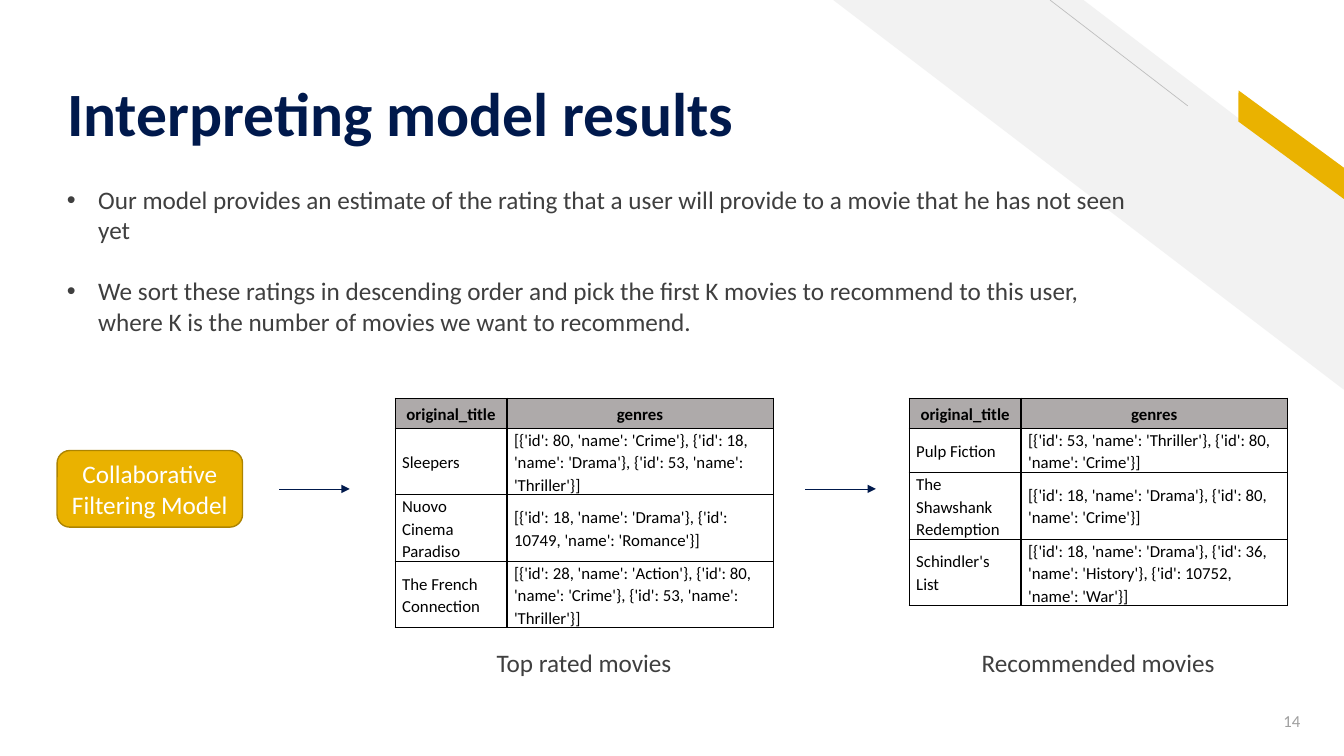
"""Build the slide that explains how the movie recommendations are read."""
import dataclasses

import lxml.etree
import pptx
import pptx.dml.color
import pptx.enum.dml
import pptx.enum.shapes
import pptx.enum.text
import pptx.oxml.ns
import pptx.shapes.autoshape
import pptx.shapes.connector
import pptx.slide
import pptx.table
import pptx.text.text
import pptx.util

SHAPE = pptx.enum.shapes.MSO_SHAPE
ALIGN = pptx.enum.text.PP_ALIGN
ANCHOR = pptx.enum.text.MSO_ANCHOR
FIT = pptx.enum.text.MSO_AUTO_SIZE
qn = pptx.oxml.ns.qn

COLUMNS, ROWS = 80, 45
CELL = pptx.util.Inches(7.5) / ROWS


@dataclasses.dataclass(frozen=True)
class Theme:
    font: str = "Calibri"
    navy: str = "00194C"
    gold: str = "EAB200"
    gold_edge: str = "AD8400"
    body: str = "3F3F3F"
    band: str = "F2F2F2"
    hairline: str = "BFBFBF"
    muted: str = "9F9F9F"
    header: str = "AEAAAA"
    black: str = "000000"
    white: str = "FFFFFF"
    title_size: int = 44
    body_size: int = 18
    small_size: int = 12


THEME = Theme()


@dataclasses.dataclass(frozen=True)
class Area:
    left: float
    top: float
    width: float
    height: float

    def emu(self) -> tuple[int, ...]:
        return tuple(cells(v) for v in dataclasses.astuple(self))


@dataclasses.dataclass(frozen=True)
class Label:
    area: Area
    lines: tuple[str, ...]
    color: str = THEME.body
    size: int = THEME.body_size
    bold: bool = False
    align: ALIGN = ALIGN.LEFT
    anchor: ANCHOR = ANCHOR.TOP
    fit: FIT = FIT.NONE
    bulleted: bool = False
    spacing: float = 1.0
    bottom_inset: float = 0.05


@dataclasses.dataclass(frozen=True)
class Stripe:
    area: Area
    kind: SHAPE
    adjustment: float
    color: str
    rotation: float = 0


@dataclasses.dataclass(frozen=True)
class Stroke:
    start: tuple[float, float]
    end: tuple[float, float]
    color: str
    arrow: bool = False


@dataclasses.dataclass(frozen=True)
class MovieList:
    caption: str
    movies: tuple[tuple[str, str], ...]


STRIPES = (
    Stripe(Area(49.6, 0, 30.4, 23.2), SHAPE.DIAGONAL_STRIPE, 0.51, THEME.band),
    Stripe(Area(72.42, 7.86, 8.88, 1.5), SHAPE.PARALLELOGRAM, 0.72, THEME.gold, 36.3),
)
MODEL_AREA = Area(3.4, 26.82, 11.04, 4.56)
FLOW_ROW = MODEL_AREA.top + MODEL_AREA.height / 2
ARROW_LEFT, ARROW_LENGTH, ARROW_STEP = 16.62, 4.2, 31.32
LIST_LEFT, LIST_TOP, LIST_STEP = 23.52, 23.7, 30.6
LIST_COLUMNS = (6.66, 15.84)
LIST_ROWS = (1.8, 2.46, 2.58, 3.36)
HEADINGS = ("original_title", "genres")
STROKES = (Stroke((70.7, 6.3), (62.5, 0), THEME.hairline),) + tuple(
    Stroke((left, FLOW_ROW), (left + ARROW_LENGTH, FLOW_ROW), THEME.navy, True)
    for left in (ARROW_LEFT, ARROW_LEFT + ARROW_STEP)
)
LABELS = (
    Label(Area(73.14, 41.7, 4.86, 2.4), ("14",), THEME.muted, THEME.small_size,
          align=ALIGN.RIGHT, anchor=ANCHOR.MIDDLE),
    Label(Area(3.4, 1.38, 54.66, 7.56), ("Interpreting model results",), THEME.navy,
          THEME.title_size, True, anchor=ANCHOR.BOTTOM, spacing=0.9, bottom_inset=0),
    Label(Area(3.4, 10.68, 65.04, 9.72), (
        "Our model provides an estimate of the rating that a user will provide to a movie that he has not seen yet",
        "We sort these ratings in descending order and pick the first K movies to recommend to this user, "
        "where K is the number of movies we want to recommend.",
    ), fit=FIT.SHAPE_TO_FIT_TEXT, bulleted=True),
)
MOVIE_LISTS = (
    MovieList("Top rated movies", (
        ("Sleepers", "[{'id': 80, 'name': 'Crime'}, {'id': 18, 'name': 'Drama'}, {'id': 53, 'name': 'Thriller'}]"),
        ("Nuovo Cinema Paradiso", "[{'id': 18, 'name': 'Drama'}, {'id': 10749, 'name': 'Romance'}]"),
        ("The French Connection",
         "[{'id': 28, 'name': 'Action'}, {'id': 80, 'name': 'Crime'}, {'id': 53, 'name': 'Thriller'}]"),
    )),
    MovieList("Recommended movies", (
        ("Pulp Fiction", "[{'id': 53, 'name': 'Thriller'}, {'id': 80, 'name': 'Crime'}]"),
        ("The Shawshank Redemption", "[{'id': 18, 'name': 'Drama'}, {'id': 80, 'name': 'Crime'}]"),
        ("Schindler's List",
         "[{'id': 18, 'name': 'Drama'}, {'id': 36, 'name': 'History'}, {'id': 10752, 'name': 'War'}]"),
    )),
)


def cells(count: float) -> int:
    return round(count * CELL)


def rgb(color: str) -> pptx.dml.color.RGBColor:
    return pptx.dml.color.RGBColor.from_string(color)


def style(paragraph: pptx.text.text._Paragraph, size: int, color: str,
          bold: bool, align: ALIGN, spacing: float) -> None:
    paragraph.font.name = THEME.font
    paragraph.font.size = pptx.util.Pt(size)
    paragraph.font.color.rgb = rgb(color)
    paragraph.font.bold = bold
    paragraph.alignment = align
    paragraph.line_spacing = spacing


def add_bullet(paragraph: pptx.text.text._Paragraph) -> None:
    properties = paragraph._p.get_or_add_pPr()
    indent = pptx.util.Inches(0.31)
    properties.set("marL", str(indent))
    properties.set("indent", str(-indent))
    lxml.etree.SubElement(properties, qn("a:buFont")).set("typeface", "Arial")
    lxml.etree.SubElement(properties, qn("a:buChar")).set("char", "•")


def add_label(slide: pptx.slide.Slide, label: Label) -> None:
    frame = slide.shapes.add_textbox(*label.area.emu()).text_frame
    frame.word_wrap = True
    frame.auto_size = label.fit
    frame.vertical_anchor = label.anchor
    frame.margin_bottom = pptx.util.Inches(label.bottom_inset)
    for index, line in enumerate(label.lines):
        paragraph = frame.add_paragraph() if index else frame.paragraphs[0]
        paragraph.text = line
        style(paragraph, label.size, label.color, label.bold, label.align, label.spacing)
        if index:
            paragraph.space_before = pptx.util.Pt(22)
        if label.bulleted:
            add_bullet(paragraph)


def add_filled(slide: pptx.slide.Slide, kind: SHAPE, area: Area,
               color: str) -> pptx.shapes.autoshape.Shape:
    shape = slide.shapes.add_shape(kind, *area.emu())
    shape.shadow.inherit = False
    shape.fill.solid()
    shape.fill.fore_color.rgb = rgb(color)
    shape.line.fill.background()
    return shape


def add_stripe(slide: pptx.slide.Slide, stripe: Stripe) -> None:
    shape = add_filled(slide, stripe.kind, stripe.area, stripe.color)
    shape.adjustments[0] = stripe.adjustment
    shape.rotation = stripe.rotation
    shape.element.spPr.find(qn("a:xfrm")).set("flipH", "1")


def add_stroke(slide: pptx.slide.Slide, stroke: Stroke) -> None:
    ends = (cells(value) for value in stroke.start + stroke.end)
    connector = slide.shapes.add_connector(pptx.enum.shapes.MSO_CONNECTOR.STRAIGHT, *ends)
    connector.line.color.rgb = rgb(stroke.color)
    connector.line.width = pptx.util.Pt(0.5)
    properties = connector.element.spPr
    if stroke.arrow:
        lxml.etree.SubElement(properties.find(qn("a:ln")), qn("a:tailEnd")).set("type", "triangle")
    lxml.etree.SubElement(properties, qn("a:effectLst"))


def add_model(slide: pptx.slide.Slide) -> None:
    model = add_filled(slide, SHAPE.ROUNDED_RECTANGLE, MODEL_AREA, THEME.gold)
    model.line.color.rgb = rgb(THEME.gold_edge)
    model.line.width = pptx.util.Pt(1)
    model.text_frame.word_wrap = True
    model.text_frame.vertical_anchor = ANCHOR.MIDDLE
    paragraph = model.text_frame.paragraphs[0]
    paragraph.text = "Collaborative Filtering Model"
    style(paragraph, THEME.body_size, THEME.white, False, ALIGN.CENTER, 1.0)


def fill_cell(cell: pptx.table._Cell, text: str, heading: bool) -> None:
    cell.margin_left = cell.margin_right = pptx.util.Inches(0.07)
    cell.margin_top = cell.margin_bottom = 0
    cell.vertical_anchor = ANCHOR.MIDDLE
    paragraph = cell.text_frame.paragraphs[0]
    paragraph.text = text
    style(paragraph, THEME.small_size, THEME.black, heading,
          ALIGN.CENTER if heading else ALIGN.LEFT, 1.1)
    properties = cell._tc.get_or_add_tcPr()
    for side in ("a:lnL", "a:lnR", "a:lnT", "a:lnB"):
        border = lxml.etree.SubElement(properties, qn(side), w=str(pptx.util.Pt(1)))
        paint = lxml.etree.SubElement(border, qn("a:solidFill"))
        lxml.etree.SubElement(paint, qn("a:srgbClr")).set("val", THEME.black)
    if heading:
        cell.fill.solid()
        cell.fill.fore_color.rgb = rgb(THEME.header)
    else:
        cell.fill.background()


def add_movie_list(slide: pptx.slide.Slide, left: float, movie_list: MovieList) -> None:
    area = Area(left, LIST_TOP, sum(LIST_COLUMNS), sum(LIST_ROWS))
    table = slide.shapes.add_table(len(LIST_ROWS), len(LIST_COLUMNS), *area.emu()).table
    table.first_row = table.horz_banding = False
    for column, width in zip(table.columns, LIST_COLUMNS):
        column.width = cells(width)
    for row, height, texts in zip(table.rows, LIST_ROWS, (HEADINGS,) + movie_list.movies):
        row.height = cells(height)
        for cell, text in zip(row.cells, texts):
            fill_cell(cell, text, texts is HEADINGS)
    add_label(slide, Label(Area(left + 3.24, 38.22, 16.02, 2.4), (movie_list.caption,),
                           align=ALIGN.CENTER, fit=FIT.SHAPE_TO_FIT_TEXT))


def main() -> None:
    deck = pptx.Presentation()
    deck.slide_width, deck.slide_height = cells(COLUMNS), cells(ROWS)
    slide = deck.slides.add_slide(deck.slide_layouts[6])
    for stripe in STRIPES:
        add_stripe(slide, stripe)
    for stroke in STROKES:
        add_stroke(slide, stroke)
    for label in LABELS:
        add_label(slide, label)
    add_model(slide)
    for index, movie_list in enumerate(MOVIE_LISTS):
        add_movie_list(slide, LIST_LEFT + index * LIST_STEP, movie_list)
    deck.save("out.pptx")


if __name__ == "__main__":
    main()
